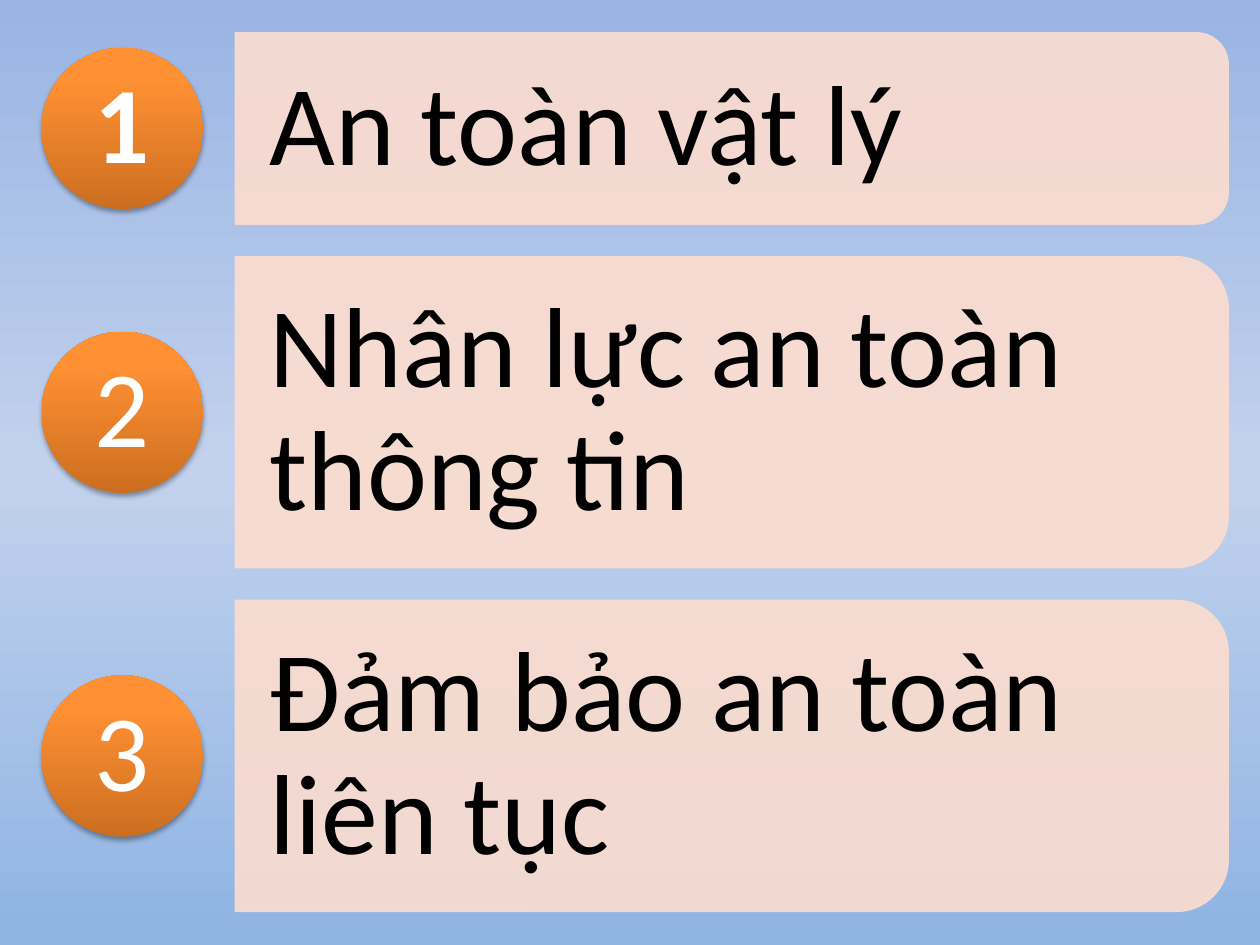
from dataclasses import dataclass

from lxml import etree
from pptx import Presentation
from pptx.dml.color import RGBColor
from pptx.enum.shapes import MSO_SHAPE
from pptx.enum.text import MSO_ANCHOR, PP_ALIGN
from pptx.oxml.ns import qn
from pptx.util import Pt

PANEL = MSO_SHAPE.ROUND_2_SAME_RECTANGLE
OVAL = MSO_SHAPE.OVAL
MIDDLE = MSO_ANCHOR.MIDDLE
LEFT, CENTER = PP_ALIGN.LEFT, PP_ALIGN.CENTER

FONT = "Calibri"
PEACH, BLACK, WHITE = "FCDDCF", "000000", "FFFFFF"
SKY = [(0, "9AB5E4"), (50, "C2D1ED"), (100, "8EB4E3")]
ORANGE = [(0, "CC6E20"), (80, "FF9034"), (100, "FF9136")]

# Layout in points
TOP, GAP = 18.7, 18.6
PANEL_X, PANEL_W = 134.5, 567.4
DISC_X, DISC = 23.8, 92.2
NUM = 65
INSET = 0.049  # text inset as a share of panel height


@dataclass
class Item:
    num: str
    text: str
    height: float
    bold: bool = False


ITEMS = [
    Item("1", "An toàn vật lý", 109.4, True),
    Item("2", "Nhân lực an toàn thông tin", 177.8),
    Item("3", "Đảm bảo an toàn liên tục", 177.8),
]


def color(code: str) -> RGBColor:
    return RGBColor.from_string(code)


def add(parent, tag: str, **attrs):
    return etree.SubElement(parent, qn(tag), {k: str(v) for k, v in attrs.items()})


def blend(root, fill, stops: list, angle: int) -> None:
    """Swap the solid fill under root for a linear gradient."""
    fill.solid()
    old = root.find(qn("a:solidFill"))
    grad = etree.Element(qn("a:gradFill"), rotWithShape="1")
    steps = add(grad, "a:gsLst")
    for pos, code in stops:
        add(add(steps, "a:gs", pos=pos * 1000), "a:srgbClr", val=code)
    add(grad, "a:lin", ang=angle * 60000, scaled=0)
    root.replace(old, grad)


def write(slide, box: tuple, text: str, size: float, code: str,
          align, pad: tuple = (0, 0), bold: bool = False) -> None:
    shape = slide.shapes.add_textbox(*map(Pt, box))
    frame = shape.text_frame
    frame.word_wrap = True
    frame.vertical_anchor = MIDDLE
    frame.margin_left = frame.margin_right = Pt(pad[0])
    frame.margin_top = frame.margin_bottom = Pt(pad[1])
    para = frame.paragraphs[0]
    para.alignment = align
    para.line_spacing = 0.9
    props = shape.element.find(".//" + qn("a:pPr"))
    add(add(props, "a:spcAft"), "a:spcPct", val=35000)
    run = para.add_run()
    run.text = text
    run.font.name, run.font.size = FONT, Pt(size)
    run.font.bold = bold
    run.font.color.rgb = color(code)


def panel(slide, item: Item, top: float) -> None:
    # Turned a quarter so that the rounded end faces right
    high = item.height
    shape = slide.shapes.add_shape(
        PANEL, Pt(PANEL_X + (PANEL_W - high) / 2),
        Pt(top + (high - PANEL_W) / 2), Pt(high), Pt(PANEL_W))
    shape.rotation = 90
    shape.shadow.inherit = False
    shape.fill.solid()
    shape.fill.fore_color.rgb = color(PEACH)
    shape.line.color.rgb = color(PEACH)
    shape.line.width = Pt(0.75)
    for node in shape.element.spPr.iter(qn("a:srgbClr")):
        add(node, "a:alpha", val=90000)
    inset = high * INSET
    box = (PANEL_X, top + inset, PANEL_W - inset, high - 2 * inset)
    write(slide, box, item.text, 65, BLACK, LEFT, (19.5, 13))


def disc(slide, item: Item, mid: float) -> None:
    shape = slide.shapes.add_shape(
        OVAL, Pt(DISC_X), Pt(mid - DISC / 2), Pt(DISC), Pt(DISC))
    props = shape.element.spPr
    blend(props, shape.fill, ORANGE, 270)
    shape.line.fill.background()
    shape.shadow.inherit = False
    shade = add(props.find(qn("a:effectLst")), "a:outerShdw", blurRad=Pt(3.1),
                dist=Pt(1.8), dir=90 * 60000, rotWithShape=0)
    add(add(shade, "a:srgbClr", val=BLACK), "a:alpha", val=35000)
    box = (DISC_X + (DISC - NUM) / 2, mid - NUM / 2, NUM, NUM)
    write(slide, box, item.num, 62, WHITE, CENTER, bold=item.bold)


deck = Presentation()
deck.slide_width, deck.slide_height = Pt(720), Pt(540)
slide = deck.slides.add_slide(deck.slide_layouts[6])

# Background
back = slide.background.fill
back.solid()
blend(slide.element.find(".//" + qn("p:bgPr")), back, SKY, 90)

# Numbered rows
top = TOP
for item in ITEMS:
    panel(slide, item, top)
    disc(slide, item, top + item.height / 2)
    top += item.height + GAP

deck.save("out.pptx")
